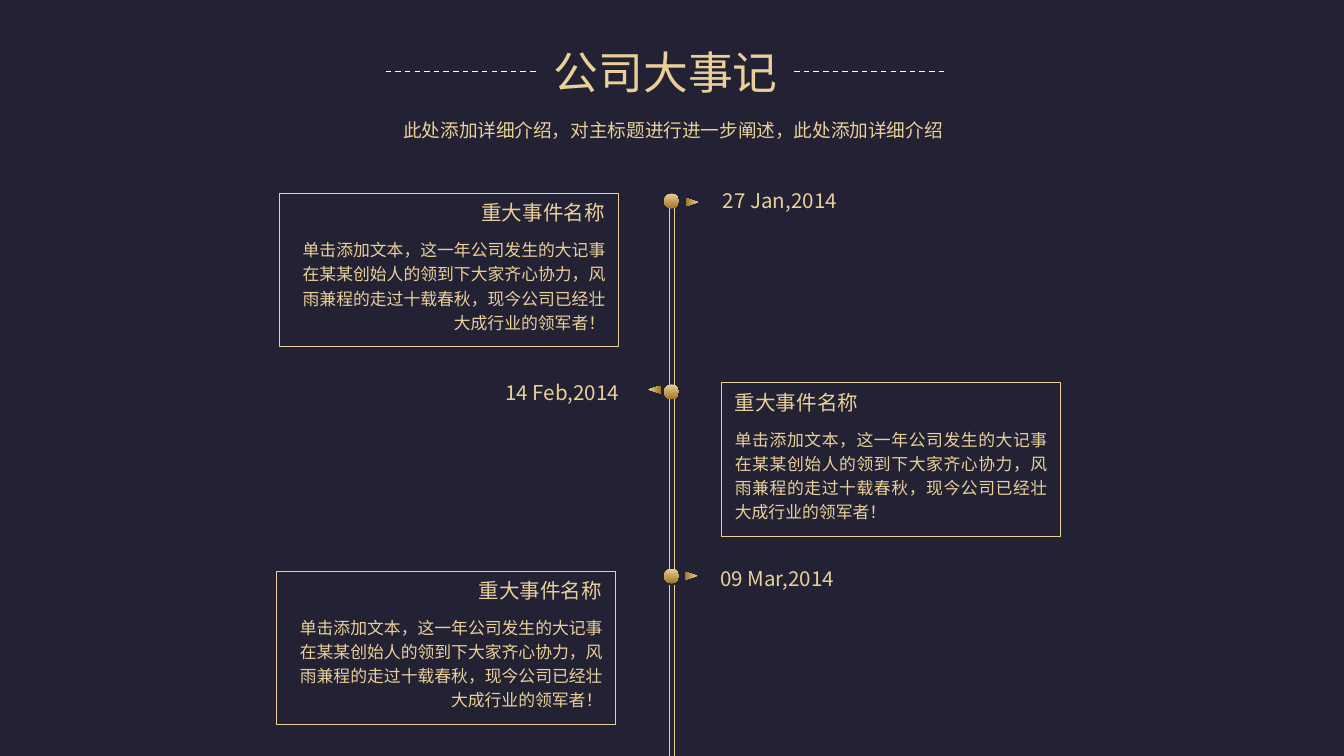
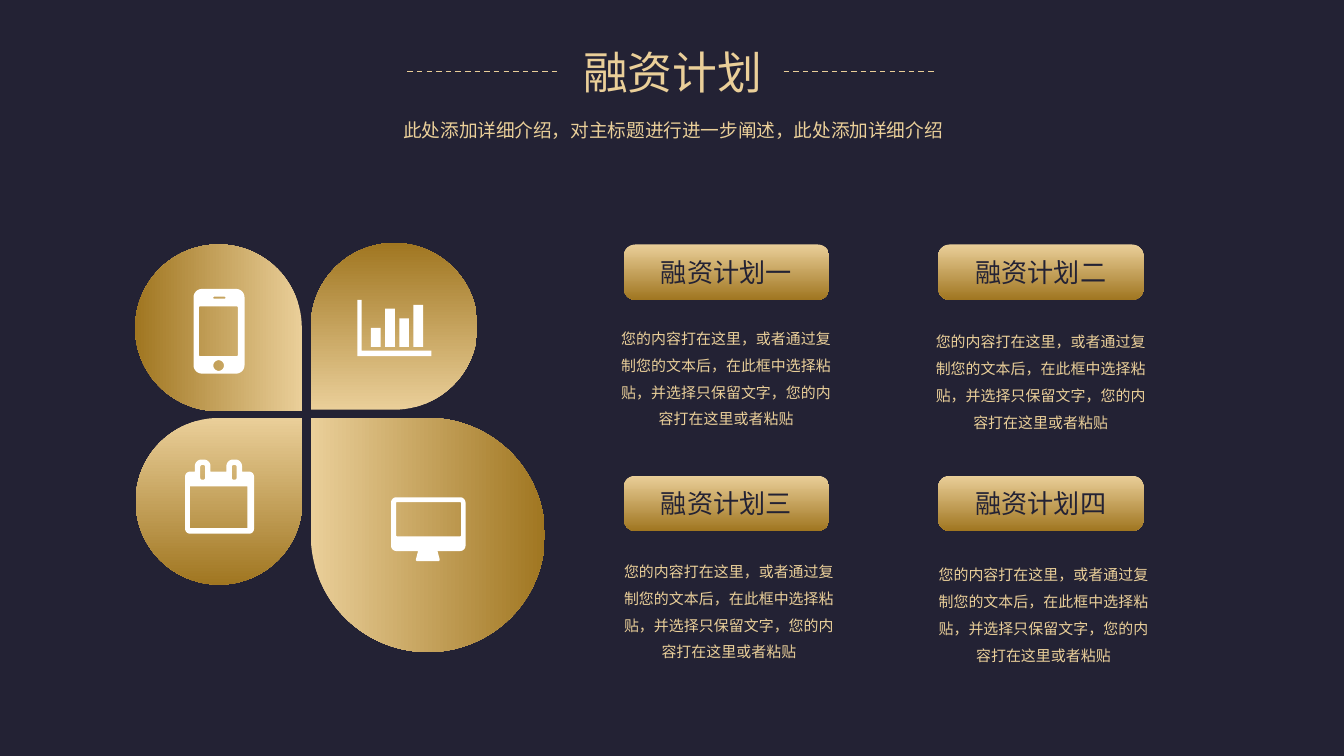
import pptx
import pptx.dml.color
import pptx.enum.dml
import pptx.enum.shapes
import pptx.enum.text
import pptx.oxml
import pptx.oxml.ns
import pptx.util

Pt = pptx.util.Pt
SHAPE = pptx.enum.shapes.MSO_SHAPE
ALIGN = pptx.enum.text.PP_ALIGN
ANCHOR = pptx.enum.text.MSO_ANCHOR

COLORS = {"night": "232234", "gold": "EACF99", "bronze": "A07621", "white": "FFFFFF"}
FONT = "Noto Sans CJK SC"
SUBTITLE = "此处添加详细介绍，对主标题进行进一步阐述，此处添加详细介绍"
EVENT_NAME = "重大事件名称"
EVENT_TEXT = (
    "单击添加文本，这一年公司发生的大记事在某某创始人的领到下大家齐心协力，"
    "风雨兼程的走过十载春秋，现今公司已经壮大成行业的领军者！"
)
PLAN_TEXT = (
    "您的内容打在这里，或者通过复制您的文本后，在此框中选择粘贴，"
    "并选择只保留文字，您的内容打在这里或者粘贴"
)


def color(name):
    return pptx.dml.color.RGBColor.from_string(COLORS[name])


def paint(fill, name=None):
    """Fill with the named colour, or with the gold gradient if there is none."""
    if name:
        fill.solid()
        fill.fore_color.rgb = color(name)
        return
    fill.gradient()
    fill.gradient_angle = 270
    for stop, shade in zip(fill.gradient_stops, ("gold", "bronze")):
        stop.color.rgb = color(shade)


def write(frame, text, size=11, align=ALIGN.LEFT, spacing=None, shade=None,
          anchor=ANCHOR.TOP, insets=(7.2, 3.6), grow=False):
    auto = pptx.enum.text.MSO_AUTO_SIZE
    frame.word_wrap = True
    frame.auto_size = auto.SHAPE_TO_FIT_TEXT if grow else auto.NONE
    frame.vertical_anchor = anchor
    frame.margin_left = frame.margin_right = Pt(insets[0])
    frame.margin_top = frame.margin_bottom = Pt(insets[1])
    para = frame.paragraphs[0]
    para.alignment = align
    if spacing:
        para.line_spacing = spacing
    span = para.add_run()
    span.text = text
    span.font.size = Pt(size)
    paint(span.font.fill, shade)
    span.font.name = FONT
    east_asian = pptx.oxml.parse_xml(
        f'<a:ea {pptx.oxml.ns.nsdecls("a")} typeface="{FONT}"/>')
    span.font._element.append(east_asian)


def add_text(page, text, left, top, width, height, grow=True, **style):
    box = page.shapes.add_textbox(Pt(left), Pt(top), Pt(width), Pt(height))
    write(box.text_frame, text, grow=grow, **style)


def add_gold_shape(page, kind, left, top, width, height, turn=0):
    shape = page.shapes.add_shape(kind, Pt(left), Pt(top), Pt(width), Pt(height))
    shape.shadow.inherit = False
    shape.rotation = turn
    paint(shape.fill)
    shape.line.fill.background()
    return shape


def add_line(page, start, end, shade="gold", dashed=False):
    line = page.shapes.add_connector(
        pptx.enum.shapes.MSO_CONNECTOR.STRAIGHT, *map(Pt, start + end))
    line.line.color.rgb = color(shade)
    line.line.width = Pt(0.75)
    if dashed:
        line.line.dash_style = pptx.enum.dml.MSO_LINE.DASH
    line._element.spPr.append(
        pptx.oxml.parse_xml(f'<a:effectLst {pptx.oxml.ns.nsdecls("a")}/>'))


def add_page(deck, title, left, width, align, rule_lefts, rule_shade):
    """Add a page with its title, dashed rules on both sides and subtitle."""
    page = deck.slides.add_slide(deck.slide_layouts[5])
    box = page.shapes.title
    box.left, box.top, box.width, box.height = map(Pt, (left, 20.2, width, 36.7))
    write(box.text_frame, title, size=24, align=align, grow=True)
    add_text(page, SUBTITLE, 139, 57.6, 442.8, 20.2, size=10,
             align=ALIGN.CENTER, spacing=1.2, grow=False)
    for rule_left in rule_lefts:
        add_line(page, (rule_left, 38.2), (rule_left + 82.3, 38.2), rule_shade, True)
    return page


def add_event(page, left, top, name_align, text_align):
    width = 181.4
    add_text(page, EVENT_NAME, left, top, width, 20.9, align=name_align)
    frame = page.shapes.add_shape(
        SHAPE.RECTANGLE, Pt(left), Pt(top), Pt(width), Pt(82.1))
    frame.shadow.inherit = False
    frame.fill.background()
    frame.line.color.rgb = color("gold")
    frame.line.width = Pt(0.5)
    add_text(page, EVENT_TEXT, left, top + 19.1, width, 59.8,
             size=9, align=text_align, spacing=1.2)


def rounded(corners):
    """Return the outline through (x, y, radius) corners, each one rounded."""
    points = []
    for index, (x, y, radius) in enumerate(corners):
        if not radius:
            points.append((x, y))
            continue
        ends = []
        for near_x, near_y, _ in (corners[index - 1], corners[(index + 1) % len(corners)]):
            share = radius / ((near_x - x) ** 2 + (near_y - y) ** 2) ** 0.5
            ends.append(((near_x - x) * share, (near_y - y) * share))
        (in_x, in_y), (out_x, out_y) = ends
        for step in range(9):
            t = step / 8
            before = (1 - t) ** 3 + 1.35 * t * (1 - t) ** 2
            after = t ** 3 + 1.35 * t ** 2 * (1 - t)
            points.append((x + in_x * before + out_x * after,
                           y + in_y * before + out_y * after))
    return points


def panel(left, top, right, bottom, radius=0):
    return rounded([(left, top, radius), (right, top, radius),
                    (right, bottom, radius), (left, bottom, radius)])


def add_icon(page, outlines):
    """Draw one white shape; outlines inside another are holes."""
    builder = None
    for outline in outlines:
        points = [(Pt(x), Pt(y)) for x, y in outline]
        if builder is None:
            builder = page.shapes.build_freeform(*points[0])
        else:
            builder.move_to(*points[0])
        builder.add_line_segments(points[1:], close=True)
    icon = builder.convert_to_shape()
    icon.shadow.inherit = False
    paint(icon.fill, "white")
    icon.line.fill.background()


def phone():
    return [panel(103.7, 154.8, 131, 200.2, 4.5), panel(106.6, 164.2, 127.4, 190.8, 0.5),
            panel(114.3, 159, 120.8, 160, 0.4), panel(114.3, 193, 120, 198.7, 2.85)]


def bar_chart():
    axes = [(191.5, 160.6), (193.7, 160.6), (193.7, 187.9),
            (231.1, 187.9), (231.1, 190.8), (191.5, 190.8)]
    bars = [panel(198.7 + 7.6 * index, top, 203.9 + 7.6 * index, 185.8)
            for index, top in enumerate((175.7, 165.3, 170.6, 163.4))]
    return [axes] + bars


def calendar():
    ears = (104.4, 121.3)
    body = [(99.2, 252.7, 2.6)]
    for left in ears:
        body += [(left, 252.7, 0), (left, 246.2, 3.6),
                 (left + 8.4, 246.2, 3.6), (left + 8.4, 252.7, 0)]
    body += [(136.1, 252.7, 2.6), (136.1, 285.9, 2.6), (99.2, 285.9, 2.6)]
    slots = [panel(left + 2.9, 249.1, left + 5.5, 257, 1) for left in ears]
    return [rounded(body), panel(101.8, 260.6, 132.5, 283)] + slots


def monitor():
    case = [(209.5, 266.4, 2.9), (249.4, 266.4, 2.9), (249.4, 295.2, 2.9),
            (234.4, 295.2, 0), (235.8, 300.6, 1), (222.6, 300.6, 1),
            (224, 295.2, 0), (209.5, 295.2, 2.9)]
    return [rounded(case), panel(212.2, 269, 247, 287.3, 0.5)]


def add_timeline(deck):
    page = add_page(deck, "公司大事记", 289.4, 140.4, ALIGN.LEFT, (425.5, 206.6), "white")
    for top, bottom in ((106.6, 226), (224, 312.5), (313.2, 405)):
        for x in (361.4, 358.6):
            add_line(page, (x, top), (x, bottom))

    right, justify = (ALIGN.RIGHT,) * 2, (ALIGN.LEFT, ALIGN.JUSTIFY)
    events = [
        # event place, its alignment, date, date place and width, dot top, arrow
        ((149.8, 103.7), right, "27 Jan,2014", (380.2, 97.2, 98.6), 103.7, (368.6, 104.9, 90)),
        ((386.6, 205.2), justify, "14 Feb,2014", (263.5, 200.2, 78.5), 205.9, (348.5, 205.3, 270)),
        ((148.3, 306), right, "09 Mar,2014", (378.7, 299.5, 98.6), 304.6, (368.2, 305.1, 90)),
    ]
    for place, aligns, date, (left, top, width), dot_top, (tip_x, tip_y, turn) in events:
        add_event(page, *place, *aligns)
        add_text(page, date, left, top, width, 20.9)
        add_gold_shape(page, SHAPE.ISOSCELES_TRIANGLE, tip_x, tip_y, 4.3, 6.8, turn)
        add_gold_shape(page, SHAPE.OVAL, 355.8, dot_top, 8, 8)


def add_funding(deck):
    page = add_page(deck, "融资计划", 304.6, 111.6, ALIGN.CENTER, (419.8, 218.2), "gold")
    petals = [
        (72.7, 223.9, 89.3, 0, calendar),
        (166.5, 223.9, 125.4, 270, monitor),
        (166.5, 130.2, 89.3, 180, bar_chart),
        (72.4, 131, 89.3, 90, phone),
    ]
    for left, top, size, turn, icon in petals:
        add_gold_shape(page, SHAPE.TEAR, left, top, size, size, turn)
        add_icon(page, icon())

    text_places = [(325.4, 169.9), (493.9, 171.7), (326.9, 294.8), (495.4, 296.6)]
    for index, (number, place) in enumerate(zip("一二三四", text_places)):
        row, column = divmod(index, 2)
        label = add_gold_shape(page, SHAPE.ROUNDED_RECTANGLE, 334.2 + 168.4 * column,
                               131 + 123.8 * row, 110, 29.7)
        label.adjustments[0] = 0.21
        write(label.text_frame, "融资计划" + number, size=14, align=ALIGN.CENTER,
              shade="night", anchor=ANCHOR.MIDDLE, insets=(0, 0))
        add_text(page, PLAN_TEXT, *place, 127.4, 61.9, size=8, align=ALIGN.CENTER,
                 spacing=1.5, insets=(3.6, 1.8))


def main():
    deck = pptx.Presentation()
    deck.slide_width, deck.slide_height = Pt(720), Pt(405)
    paint(deck.slide_master.background.fill, "night")
    add_timeline(deck)
    add_funding(deck)
    deck.save("out.pptx")


if __name__ == "__main__":
    main()
